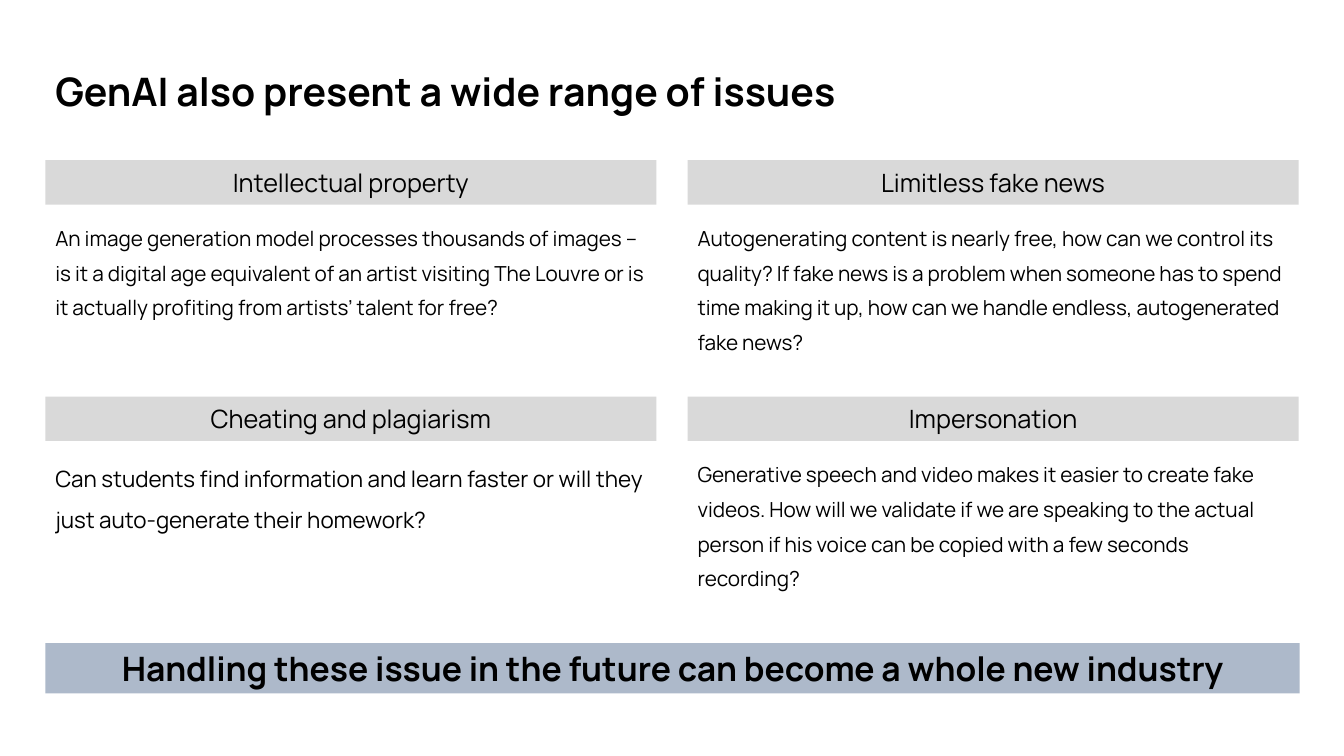
import dataclasses

import pptx
import pptx.dml.color
import pptx.enum.shapes
import pptx.enum.text
import pptx.util

Inches = pptx.util.Inches
ALIGN = pptx.enum.text.PP_ALIGN
ANCHOR = pptx.enum.text.MSO_ANCHOR


@dataclasses.dataclass(frozen=True)
class Theme:
    """Fonts, colours, type sizes and shared measures of the slide."""
    font: str = "Manrope"
    ink: str = "000000"
    heading_fill: str = "D9D9D9"
    takeaway_fill: str = "ADB9CA"
    title_size: float = 28
    takeaway_size: float = 24
    heading_size: float = 18
    body_size: float = 14.8
    large_body_size: float = 16
    left: float = 0.45
    full_width: float = 12.44
    column_width: float = 6.06
    column_step: float = 6.37
    top: float = 1.59
    row_step: float = 2.345


THEME = Theme()

ISSUES = [
    [
        ("Intellectual property",
         "An image generation model processes thousands of images – is it a digital age "
         "equivalent of an artist visiting The Louvre or is it actually profiting from "
         "artists’ talent for free?", THEME.body_size, 1.4),
        ("Limitless fake news",
         "Autogenerating content is nearly free, how can we control its quality? If fake "
         "news is a problem when someone has to spend time making it up, how can we handle "
         "endless, autogenerated fake news?", THEME.body_size, 1.4),
    ],
    [
        ("Cheating and plagiarism",
         "Can students find information and learn faster or will they just auto-generate "
         "their homework?", THEME.large_body_size, 1.5),
        ("Impersonation",
         "Generative speech and video makes it easier to create fake videos. How will we "
         "validate if we are speaking to the actual person if his voice can be copied with "
         "a few seconds recording?", THEME.body_size, 1.4),
    ],
]


def write(shape, text, size, bold=False, align=ALIGN.LEFT, anchor=ANCHOR.TOP):
    """Put one formatted paragraph in a shape and return the paragraph."""
    frame = shape.text_frame
    frame.word_wrap = True
    frame.vertical_anchor = anchor
    frame.text = text
    paragraph = frame.paragraphs[0]
    paragraph.alignment = align
    font = paragraph.runs[0].font
    font.name = THEME.font
    font.size = pptx.util.Pt(size)
    font.bold = bold
    font.color.rgb = pptx.dml.color.RGBColor.from_string(THEME.ink)
    return paragraph


def add_text(slide, left, top, width, height, text, size, bold=False):
    """Add a text box and return its paragraph."""
    box = slide.shapes.add_textbox(Inches(left), Inches(top), Inches(width), Inches(height))
    return write(box, text, size, bold)


def add_band(slide, left, top, width, height, fill, text, size, bold=False, anchor=ANCHOR.MIDDLE):
    """Add a filled rectangle with centred text."""
    band = slide.shapes.add_shape(
        pptx.enum.shapes.MSO_SHAPE.RECTANGLE,
        Inches(left), Inches(top), Inches(width), Inches(height))
    band.shadow.inherit = False
    band.fill.solid()
    band.fill.fore_color.rgb = pptx.dml.color.RGBColor.from_string(fill)
    band.line.fill.background()
    write(band, text, size, bold, ALIGN.CENTER, anchor)


def add_issue(slide, left, top, heading, body, size, line_spacing):
    """Add a heading band with its explanation below."""
    add_band(slide, left, top, THEME.column_width, 0.44, THEME.heading_fill,
             heading, THEME.heading_size)
    paragraph = add_text(slide, left, top + 0.5, THEME.column_width, 1.54, body, size)
    paragraph.line_spacing = line_spacing
    paragraph.space_before = pptx.util.Pt(10)


def main():
    """Build the slide and save it."""
    deck = pptx.Presentation()
    deck.slide_width = Inches(13.33)
    deck.slide_height = Inches(7.5)
    slide = deck.slides.add_slide(deck.slide_layouts[6])

    add_text(slide, THEME.left, 0.62, THEME.full_width, 0.57,
             "GenAI also present a wide range of issues", THEME.title_size, bold=True)
    for row, issues in enumerate(ISSUES):
        for column, issue in enumerate(issues):
            add_issue(slide, THEME.left + column * THEME.column_step,
                      THEME.top + row * THEME.row_step, *issue)
    add_band(slide, THEME.left, 6.38, THEME.full_width, 0.5, THEME.takeaway_fill,
             "Handling these issue in the future can become a whole new industry",
             THEME.takeaway_size, bold=True, anchor=ANCHOR.TOP)

    deck.save("out.pptx")


if __name__ == "__main__":
    main()
